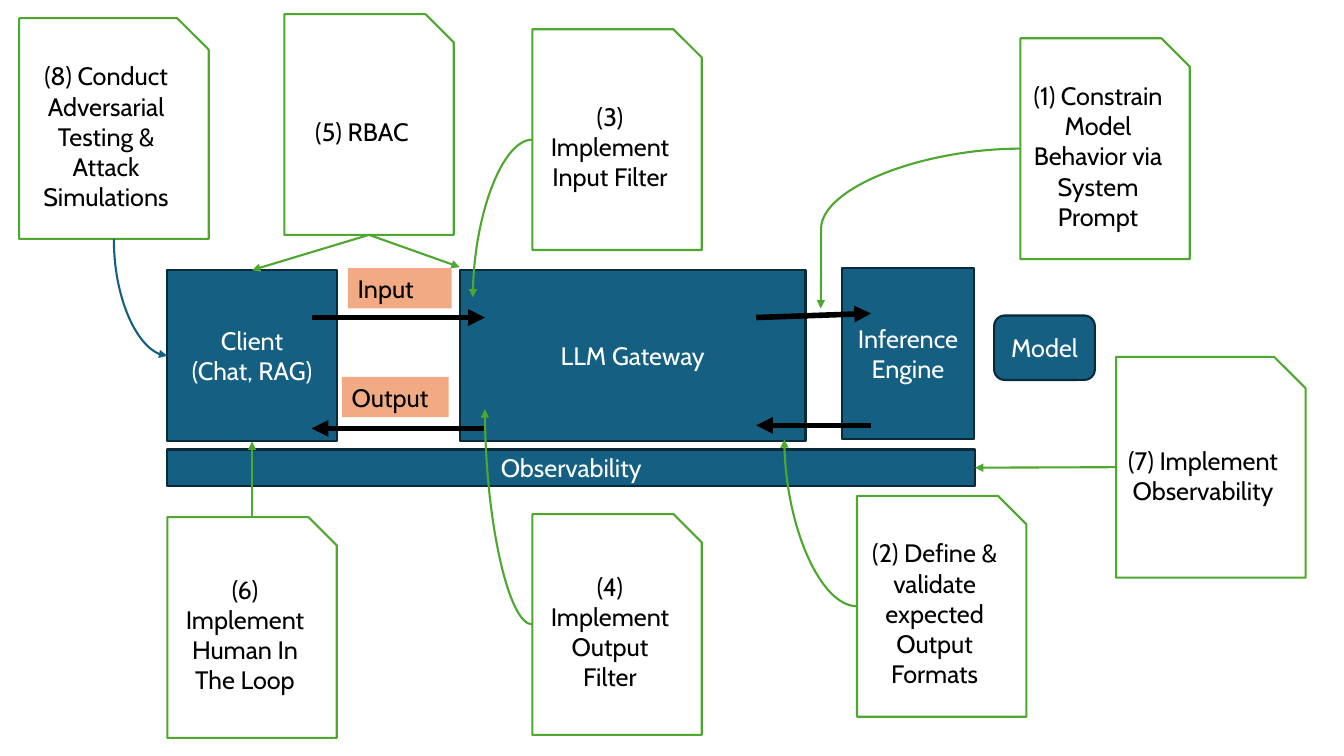
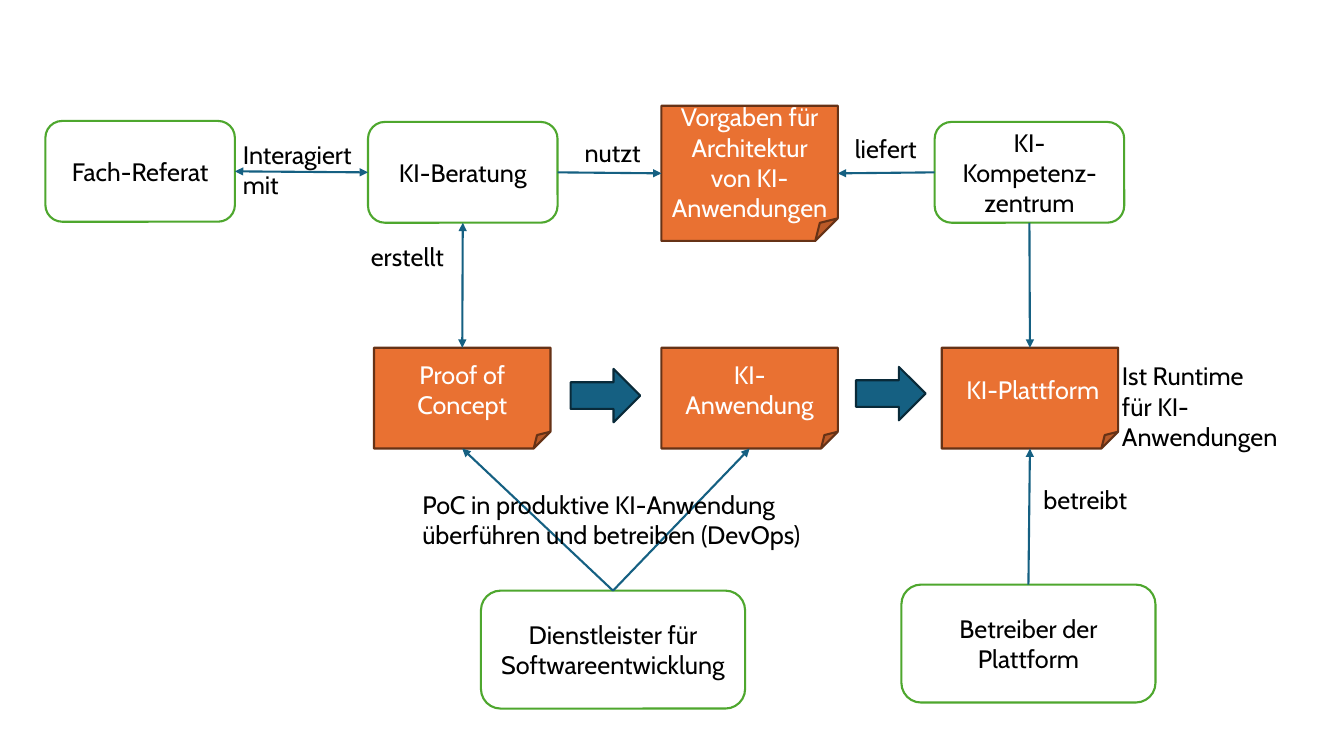
"""Builds two diagrams: safeguards around an LLM gateway and the roles behind a KI platform."""
from dataclasses import dataclass
from typing import Optional

from lxml import etree
from pptx import Presentation
from pptx.dml.color import RGBColor
from pptx.enum import shapes, text
from pptx.oxml import ns
from pptx.util import Inches, Pt

FONT = "Cabin"
TEXT_SIZE = Pt(18)
OUTLINE = Pt(1.5)
WHITE = RGBColor(0xFF, 0xFF, 0xFF)
BLACK = RGBColor(0x00, 0x00, 0x00)
BLUE = RGBColor(0x15, 0x60, 0x82)
NAVY = RGBColor(0x09, 0x2A, 0x39)
GREEN = RGBColor(0x4E, 0xA7, 0x2E)
ORANGE = RGBColor(0xE9, 0x71, 0x32)
BROWN = RGBColor(0x66, 0x32, 0x16)
PEACH = RGBColor(0xF2, 0xAA, 0x84)

Point = tuple[float, float]
Preset = shapes.MSO_SHAPE


@dataclass(frozen=True)
class Style:
    """Preset and colours shared by one family of boxes."""
    preset: Preset
    fill: RGBColor
    edge: RGBColor
    ink: RGBColor


SYSTEM = Style(Preset.RECTANGLE, BLUE, NAVY, WHITE)
MODEL = Style(Preset.ROUNDED_RECTANGLE, BLUE, NAVY, WHITE)
STEP = Style(Preset.RIGHT_ARROW, BLUE, NAVY, WHITE)
MEASURE = Style(Preset.SNIP_1_RECTANGLE, WHITE, GREEN, BLACK)
ROLE = Style(Preset.ROUNDED_RECTANGLE, WHITE, GREEN, BLACK)
PRODUCT = Style(Preset.FOLDED_CORNER, ORANGE, BROWN, WHITE)


@dataclass(frozen=True)
class Box:
    """Outlined shape with centred text."""
    style: Style
    left: float
    top: float
    width: float
    height: float
    words: str = ""

    @property
    def north(self) -> Point:
        """Middle of the top edge."""
        return self.left + self.width / 2, self.top

    @property
    def south(self) -> Point:
        """Middle of the bottom edge."""
        return self.left + self.width / 2, self.top + self.height

    @property
    def west(self) -> Point:
        """Middle of the left edge."""
        return self.left, self.top + self.height / 2

    @property
    def east(self) -> Point:
        """Middle of the right edge."""
        return self.left + self.width, self.top + self.height / 2


@dataclass(frozen=True)
class Label:
    """Free text, optionally on a coloured ground."""
    left: float
    top: float
    width: float
    height: float
    words: str
    ground: Optional[RGBColor] = None
    wrap: bool = False


@dataclass(frozen=True)
class Link:
    """Straight or curved arrow between two points."""
    start: Point
    end: Point
    color: RGBColor
    weight: float = 1.5
    head: bool = False
    tail: bool = True
    curve: str = ""
    bend: Optional[int] = None


def measure(left: float, top: float, words: str, width: float = 1.68) -> Box:
    """Return a numbered safeguard card."""
    return Box(MEASURE, left, top, width, 2.19, words)


def role(left: float, words: str, top: float = 1.21) -> Box:
    """Return a role card of the upper row."""
    return Box(ROLE, left, top, 1.88, 1, words)


def product(left: float, words: str, top: float = 3.45, height: float = 1) -> Box:
    """Return a folded product card."""
    return Box(PRODUCT, left, top, 1.75, height, words)


def write(frame, words: str, color: RGBColor, align: text.PP_ALIGN) -> None:
    """Fill a text frame and format its runs."""
    frame.text = words
    for paragraph in frame.paragraphs:
        paragraph.alignment = align
        for run in paragraph.runs:
            run.font.name = FONT
            run.font.size = TEXT_SIZE
            run.font.color.rgb = color


def draw_box(slide, box: Box) -> None:
    """Draw one outlined shape."""
    card = slide.shapes.add_shape(
        box.style.preset, *map(Inches, (box.left, box.top, box.width, box.height)))
    card.shadow.inherit = False
    card.fill.solid()
    card.fill.fore_color.rgb = box.style.fill
    card.line.color.rgb = box.style.edge
    card.line.width = OUTLINE
    if box.words:
        card.text_frame.word_wrap = True
        card.text_frame.vertical_anchor = text.MSO_ANCHOR.MIDDLE
        write(card.text_frame, box.words, box.style.ink, text.PP_ALIGN.CENTER)


def draw_label(slide, label: Label) -> None:
    """Draw one free text."""
    caption = slide.shapes.add_textbox(
        *map(Inches, (label.left, label.top, label.width, label.height)))
    if label.ground is not None:
        caption.fill.solid()
        caption.fill.fore_color.rgb = label.ground
    caption.text_frame.word_wrap = label.wrap
    caption.text_frame.auto_size = text.MSO_AUTO_SIZE.SHAPE_TO_FIT_TEXT
    write(caption.text_frame, label.words, BLACK, text.PP_ALIGN.LEFT)


def draw_link(slide, link: Link) -> None:
    """Draw one arrow with its heads and curve."""
    kind = shapes.MSO_CONNECTOR.CURVE if link.curve else shapes.MSO_CONNECTOR.STRAIGHT
    arrow = slide.shapes.add_connector(kind, *map(Inches, (*link.start, *link.end)))
    arrow.line.color.rgb = link.color
    arrow.line.width = Pt(link.weight)
    properties = arrow.element.spPr
    stroke = properties.find(ns.qn("a:ln"))
    for tag, shown in (("a:headEnd", link.head), ("a:tailEnd", link.tail)):
        if shown:
            etree.SubElement(stroke, ns.qn(tag), type="triangle")
    geometry = properties.find(ns.qn("a:prstGeom"))
    if link.curve:
        geometry.set("prst", link.curve)
    if link.bend is not None:
        guides = geometry.find(ns.qn("a:avLst"))
        etree.SubElement(guides, ns.qn("a:gd"), name="adj1", fmla=f"val {link.bend}")
    etree.SubElement(properties, ns.qn("a:effectLst"))


def draw_diagram(deck, boxes: list[Box], links: list[Link], labels: list[Label]) -> None:
    """Add a blank slide and draw a diagram on it."""
    slide = deck.slides.add_slide(deck.slide_layouts[6])
    for box in boxes:
        draw_box(slide, box)
    for link in links:
        draw_link(slide, link)
    for label in labels:
        draw_label(slide, label)


def add_safeguards(deck) -> None:
    """Add the gateway diagram with its eight safeguards."""
    client = Box(SYSTEM, 1.66, 2.68, 1.68, 1.7, "Client\n(Chat, RAG)")
    gateway = Box(SYSTEM, 4.56, 2.68, 3.43, 1.7, "LLM Gateway")
    engine = Box(SYSTEM, 8.35, 2.66, 1.31, 1.7, "Inference Engine")
    model = Box(MODEL, 9.86, 3.13, 1, 0.64, "Model")
    observability = Box(SYSTEM, 1.66, 4.46, 8.01, 0.36, "Observability")
    constrain = measure(10.12, 0.38, "(1) Constrain Model Behavior via System Prompt")
    formats = measure(8.5, 4.92, "(2) Define & validate expected Output Formats")
    input_filter = measure(5.28, 0.29, "(3) Implement Input Filter")
    output_filter = measure(5.28, 5.1, "(4) Implement Output Filter")
    rbac = measure(2.82, 0.14, "(5) RBAC")
    human = measure(1.66, 5.13, "(6) Implement Human In The Loop")
    observe = measure(11.07, 3.54, "(7) Implement Observability", 1.88)
    attack = measure(0.19, 0.18, "(8) Conduct Adversarial Testing & Attack Simulations", 1.88)

    flows = [((3.09, 3.15), (4.81, 3.15)), ((4.81, 4.25), (3.09, 4.25)),
             ((7.5, 3.15), (8.64, 3.11)), ((8.64, 4.22), (7.5, 4.22))]
    straight = [(rbac.south, client.north), (rbac.south, (4.56, 2.65)),
                (human.north, client.south), (observe.west, observability.east)]
    curved = [(formats.west, (7.78, 4.36)), (output_filter.west, (4.81, 4.06)),
              (input_filter.west, (4.69, 2.95))]
    links = [Link(*ends, BLACK, weight=4) for ends in flows]
    links += [Link(*ends, GREEN) for ends in straight]
    links += [Link(*ends, GREEN, curve="curvedConnector2") for ends in curved]
    links += [
        Link(constrain.west, (8.14, 3.06), GREEN, curve="curvedConnector3", bend=99800),
        Link(client.west, attack.south, BLUE, head=True, tail=False, curve="curvedConnector2"),
    ]
    draw_diagram(
        deck,
        [client, gateway, engine, model, observability, constrain, formats,
         input_filter, output_filter, rbac, human, observe, attack],
        links,
        [Label(3.45, 2.66, 1.03, 0.4, "Input", PEACH, True),
         Label(3.39, 3.74, 1.06, 0.4, "Output", PEACH, True)])


def add_roles(deck) -> None:
    """Add the diagram of roles and products around the platform."""
    department = role(0.45, "Fach-Referat", 1.2)
    advisers = role(3.65, "KI-Beratung")
    competence = role(9.27, "KI-Kompetenz-zentrum")
    contractor = Box(ROLE, 4.77, 5.86, 2.62, 1.17, "Dienstleister für Softwareentwicklung")
    operator = Box(ROLE, 8.94, 5.8, 2.52, 1.17, "Betreiber der Plattform")
    guidelines = product(6.56, "Vorgaben für Architektur von KI-Anwendungen", 1.05, 1.34)
    concept = product(3.71, "Proof of Concept")
    application = product(6.56, "KI-Anwendung")
    platform = product(9.34, " KI-Plattform")
    steps = [Box(STEP, left, top, 0.69, 0.53) for left, top in ((5.66, 3.66), (8.49, 3.64))]

    mutual = [(department.east, advisers.west), (advisers.south, concept.north)]
    directed = [(advisers.east, guidelines.west), (competence.west, guidelines.east),
                (competence.south, platform.north), (operator.north, platform.south),
                (contractor.north, concept.south), (contractor.north, application.south)]
    draw_diagram(
        deck,
        [department, advisers, competence, contractor, operator,
         guidelines, concept, application, platform, *steps],
        [Link(*ends, BLUE, head=True) for ends in mutual]
        + [Link(*ends, BLUE) for ends in directed],
        [Label(2.31, 1.33, 1.31, 0.71, "Interagiert\vmit"),
         Label(3.58, 2.34, 0.96, 0.4, "erstellt"),
         Label(8.38, 1.27, 0.83, 0.4, "liefert"),
         Label(5.7, 1.31, 0.76, 0.4, "nutzt"),
         Label(10.25, 4.76, 1.06, 0.4, "betreibt"),
         Label(4.09, 4.8, 4.04, 0.71,
               "PoC in produktive KI-Anwendung\vüberführen und betreiben (DevOps)"),
         Label(11.03, 3.53, 1.9, 1.01, "Ist Runtime\vfür KI-Anwendungen", wrap=True)])


def main() -> None:
    """Build and save the deck."""
    deck = Presentation()
    deck.slide_width = Inches(13.33)
    deck.slide_height = Inches(7.5)
    add_safeguards(deck)
    add_roles(deck)
    deck.save("out.pptx")


if __name__ == "__main__":
    main()
